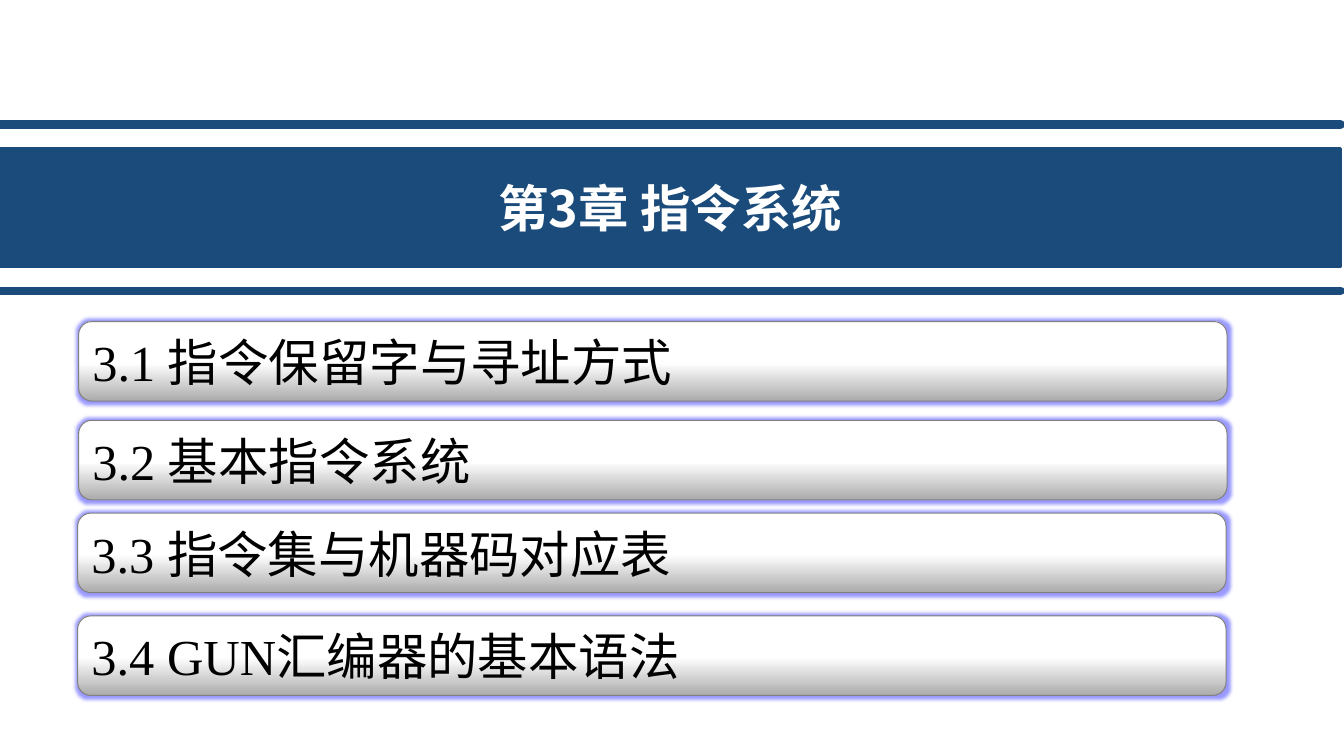
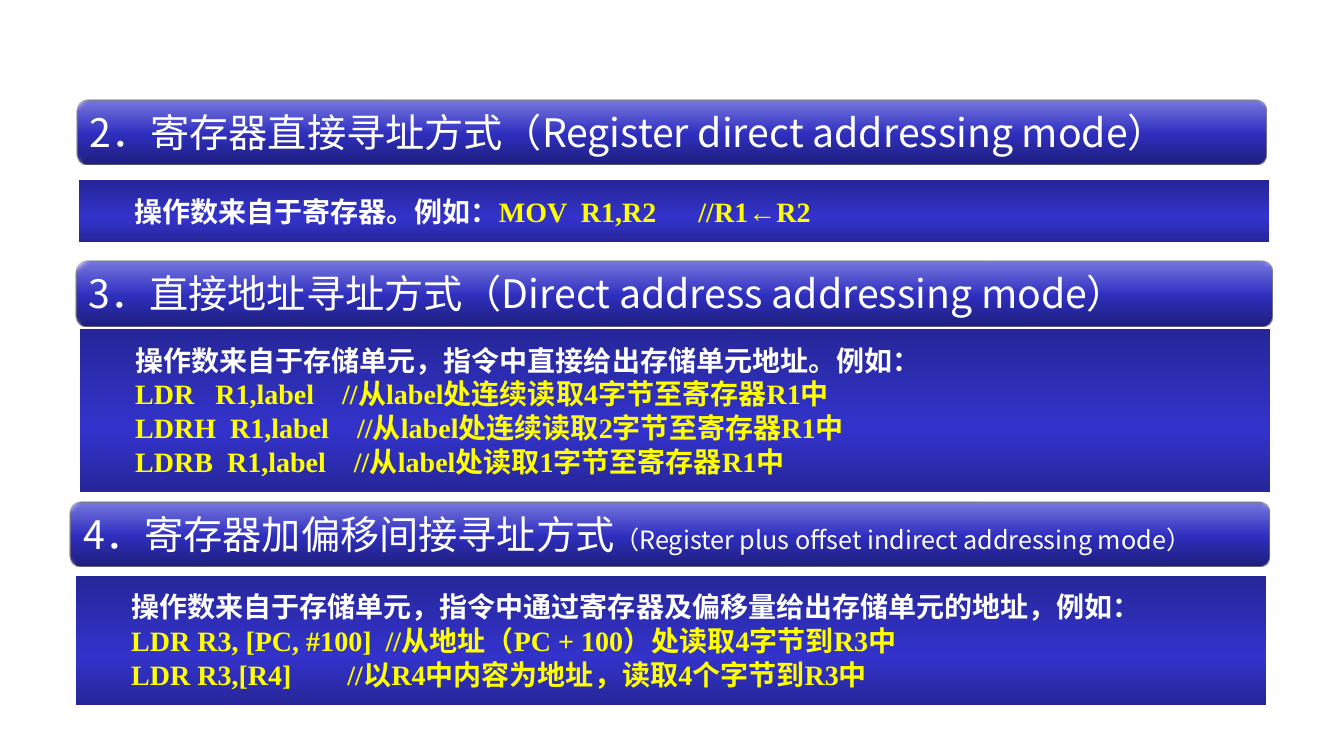
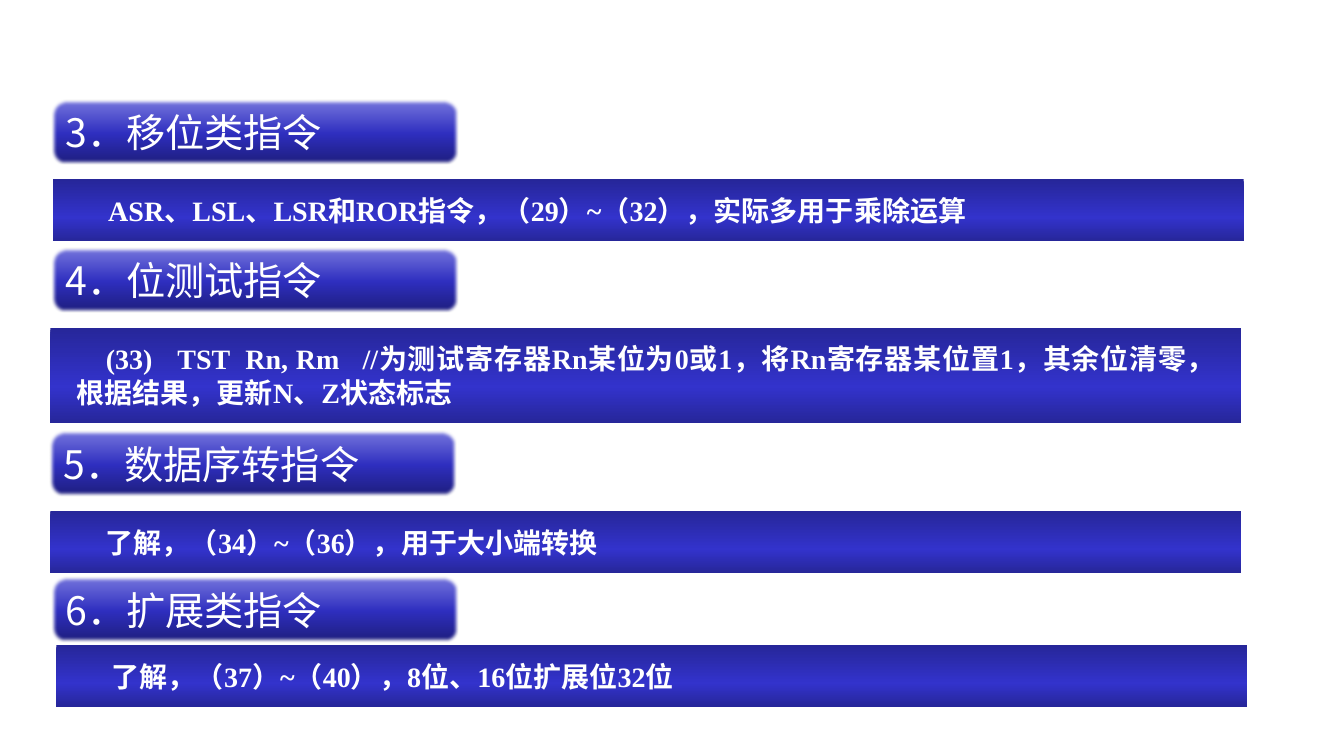
from dataclasses import dataclass

from pptx import Presentation
from pptx.dml.color import RGBColor
from pptx.enum.shapes import MSO_CONNECTOR, MSO_SHAPE
from pptx.enum.text import MSO_ANCHOR, PP_ALIGN
from pptx.oxml import parse_xml
from pptx.oxml.ns import nsdecls, qn
from pptx.util import Inches, Pt

LEFT, CENTER, JUSTIFY = PP_ALIGN.LEFT, PP_ALIGN.CENTER, PP_ALIGN.JUSTIFY
MIDDLE = MSO_ANCHOR.MIDDLE
RECTANGLE, ROUNDED = MSO_SHAPE.RECTANGLE, MSO_SHAPE.ROUNDED_RECTANGLE
STRAIGHT = MSO_CONNECTOR.STRAIGHT

SLIDE_WIDTH, SLIDE_HEIGHT = Inches(13.33), Inches(7.5)


@dataclass(frozen=True)
class Theme:
    navy: str = "1B4B7B"
    white: str = "FFFFFF"
    black: str = "000000"
    yellow: str = "FFFF00"
    outline: str = "808080"
    glow: str = "9999FF"
    silver: tuple = ((0, "ABABAB"), (48, "FFFFFF"), (100, "FFFFFF"))
    raised_blue: tuple = ((0, "1E1E7C"), (48, "2F2FC0"), (100, "7878DE"))
    panel_blue: tuple = ((0, "262699"), (62, "3333CC"), (100, "262699"))
    sans: str = "Noto Sans CJK SC"
    serif: str = "Times New Roman"
    title_size: int = 36
    heading_size: int = 28
    body_size: int = 20
    note_size: int = 18
    body_leading: int = 24


THEME = Theme()


def across(percent):
    return round(SLIDE_WIDTH * percent / 100)


def down(percent):
    return round(SLIDE_HEIGHT * percent / 100)


def add_box(slide, kind, box, fill=None, stops=None, angle=90, line=None, weight=0.75):
    """Add a shape; box is left, top, width, height in percent of the slide."""
    left, top, width, height = box
    shape = slide.shapes.add_shape(kind, across(left), down(top), across(width), down(height))
    shape.shadow.inherit = False
    if stops:
        shape.fill.gradient()
        set_gradient(shape, stops, angle)
    else:
        shape.fill.solid()
        shape.fill.fore_color.rgb = RGBColor.from_string(fill)
    if line:
        shape.line.color.rgb = RGBColor.from_string(line)
        shape.line.width = Pt(weight)
    else:
        shape.line.fill.background()
    return shape


def set_gradient(shape, stops, angle):
    properties = shape.element.spPr
    stop_xml = "".join(
        f'<a:gs pos="{position * 1000}"><a:srgbClr val="{color}"/></a:gs>'
        for position, color in stops
    )
    gradient = parse_xml(
        f'<a:gradFill {nsdecls("a")} rotWithShape="1"><a:gsLst>{stop_xml}</a:gsLst>'
        f'<a:lin ang="{angle * 60000}" scaled="0"/></a:gradFill>'
    )
    properties.replace(properties.find(qn("a:gradFill")), gradient)


def add_effect(shape, name, radius, color=None):
    content = f'<a:srgbClr val="{color}"/>' if color else ""
    effect = parse_xml(f'<a:{name} {nsdecls("a")} rad="{Pt(radius)}">{content}</a:{name}>')
    shape.element.spPr.find(qn("a:effectLst")).append(effect)


def write_text(shape, lines, font=THEME.sans, size=THEME.body_size, color=THEME.white,
               bold=False, align=LEFT, indent=0, leading=None, margins=(0.1, 0.05)):
    """Write lines of runs; a run is its text and its own changes of format."""
    frame = shape.text_frame
    frame.word_wrap = True
    frame.vertical_anchor = MIDDLE
    frame.margin_left = frame.margin_right = Inches(margins[0])
    frame.margin_top = frame.margin_bottom = Inches(margins[1])
    for index, runs in enumerate(lines):
        paragraph = frame.paragraphs[0] if index == 0 else frame.add_paragraph()
        paragraph.alignment = align
        if leading:
            paragraph.line_spacing = Pt(leading)
        if indent:
            paragraph_properties = paragraph._p.get_or_add_pPr()
            paragraph_properties.set("marL", "0")
            paragraph_properties.set("indent", str(Inches(indent)))
        for text, changes in runs:
            run = paragraph.add_run()
            run.text = text
            run.font.name = font
            run.font.size = Pt(changes.get("size", size))
            run.font.bold = bold
            run.font.color.rgb = RGBColor.from_string(changes.get("color", color))
            east_asian = parse_xml(f'<a:ea {nsdecls("a")} typeface="{THEME.sans}"/>')
            run.font._element.find(qn("a:latin")).addnext(east_asian)


def plain(text):
    return [(text, {})]


def code(text):
    return [(text, {"color": THEME.yellow})]


def add_rule(slide, top):
    rule = slide.shapes.add_connector(STRAIGHT, 0, down(top), across(99.75), down(top))
    rule.line.color.rgb = RGBColor.from_string(THEME.navy)
    rule.line.width = Pt(6)
    properties = rule.element.spPr
    properties.find(qn("a:ln")).set("cap", "rnd")
    properties.append(parse_xml(f'<a:effectLst {nsdecls("a")}/>'))


def add_title_band(slide, text, top, height):
    band = add_box(slide, RECTANGLE, (0, top, 99.75, height),
                   fill=THEME.navy, line=THEME.navy, weight=2)
    write_text(band, [plain(text)], size=THEME.title_size, bold=True, align=CENTER)
    margin = 3.13
    add_rule(slide, top - margin)
    add_rule(slide, top + height + margin)


def add_contents_entry(slide, text, left, top):
    entry = add_box(slide, ROUNDED, (left, top, 85.45, 10.53),
                    stops=THEME.silver, angle=270, line=THEME.outline)
    add_effect(entry, "glow", 5, THEME.glow)
    write_text(entry, [plain(text)], font=THEME.serif, size=THEME.title_size,
               color=THEME.black)


def add_heading(slide, runs, left, top, width, soft_edge):
    heading = add_box(slide, ROUNDED, (left, top, width, 8.53),
                      stops=THEME.raised_blue, angle=270, line=THEME.outline)
    add_effect(heading, "softEdge", soft_edge)
    write_text(heading, [runs], size=THEME.heading_size)


def add_panel(slide, lines, left, top, rows):
    """Add a blue panel as tall as its rows of text need."""
    panel = add_box(slide, RECTANGLE, (left, top, 88.6, 3.7 + 4.48 * rows),
                    stops=THEME.panel_blue)
    write_text(panel, lines, font=THEME.serif, bold=True, align=JUSTIFY, indent=0.29,
               leading=THEME.body_leading, margins=(0.26, 0.14))


def build_chapter(slide):
    add_title_band(slide, "第3章 指令系统", top=19.6, height=15.73)
    entries = [
        ("3.1 指令保留字与寻址方式", 5.85, 42.53),
        ("3.2 基本指令系统", 5.85, 55.6),
        ("3.3 指令集与机器码对应表", 5.78, 67.87),
        ("3.4 GUN汇编器的基本语法", 5.78, 81.47),
    ]
    for text, left, top in entries:
        add_contents_entry(slide, text, left, top)


def build_addressing_modes(slide):
    sections = [
        (plain("2．寄存器直接寻址方式（Register direct addressing mode）"),
         (5.7, 13.2, 88.5), (5.85, 23.87),
         [plain("操作数来自于寄存器。例如：") + code("MOV  R1,R2      //R1←R2")]),
        (plain("3．直接地址寻址方式（Direct address addressing mode）"),
         (5.63, 34.53, 89), (5.93, 43.47),
         [plain("操作数来自于存储单元，指令中直接给出存储单元地址。例如："),
          code("LDR   R1,label    //从label处连续读取4字节至寄存器R1中"),
          code("LDRH  R1,label    //从label处连续读取2字节至寄存器R1中"),
          code("LDRB  R1,label    //从label处读取1字节至寄存器R1中")]),
        ([("4．寄存器加偏移间接寻址方式", {}),
          ("（Register plus offset indirect addressing mode）", {"size": THEME.note_size})],
         (5.25, 66.4, 89.2), (5.63, 76.13),
         [plain("操作数来自于存储单元，指令中通过寄存器及偏移量给出存储单元的地址，例如："),
          code("LDR R3, [PC, #100]  //从地址（PC + 100）处读取4字节到R3中"),
          code("LDR R3,[R4]        //以R4中内容为地址，读取4个字节到R3中")]),
    ]
    for heading, heading_place, panel_place, lines in sections:
        add_heading(slide, heading, *heading_place, soft_edge=1.5)
        add_panel(slide, lines, *panel_place, rows=len(lines))


def build_instruction_classes(slide):
    sections = [
        ("3．移位类指令", (3.9, 13.2), (3.93, 23.73), 1,
         "ASR、LSL、LSR和ROR指令，（29）~（32），实际多用于乘除运算"),
        ("4．位测试指令", (3.9, 32.8), (3.75, 43.33), 2,
         "(33)\tTST  Rn, Rm   //为测试寄存器Rn某位为0或1，将Rn寄存器某位置1，"
         "其余位清零，根据结果，更新N、Z状态标志"),
        ("5．数据序转指令", (3.75, 57.07), (3.75, 67.6), 1,
         "了解，（34）~（36），用于大小端转换"),
        ("6．扩展类指令", (3.9, 76.4), (4.2, 85.33), 1,
         "了解，（37）~（40），8位、16位扩展位32位"),
    ]
    for heading, heading_place, panel_place, rows, text in sections:
        add_panel(slide, [plain(text)], *panel_place, rows=rows)
        add_heading(slide, plain(heading), *heading_place, width=30.15, soft_edge=2.5)


def main():
    presentation = Presentation()
    presentation.slide_width, presentation.slide_height = SLIDE_WIDTH, SLIDE_HEIGHT
    blank = presentation.slide_layouts[6]
    for build in (build_chapter, build_addressing_modes, build_instruction_classes):
        build(presentation.slides.add_slide(blank))
    presentation.save("out.pptx")


if __name__ == "__main__":
    main()
